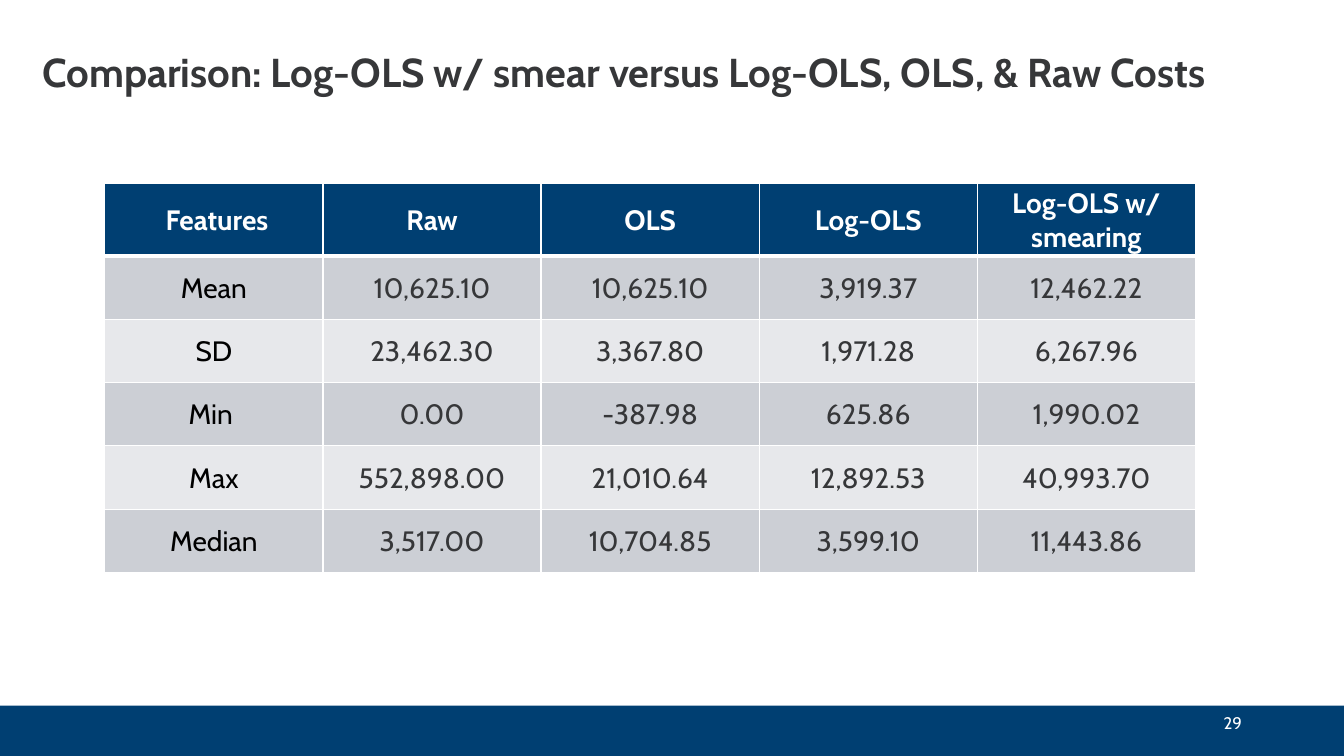
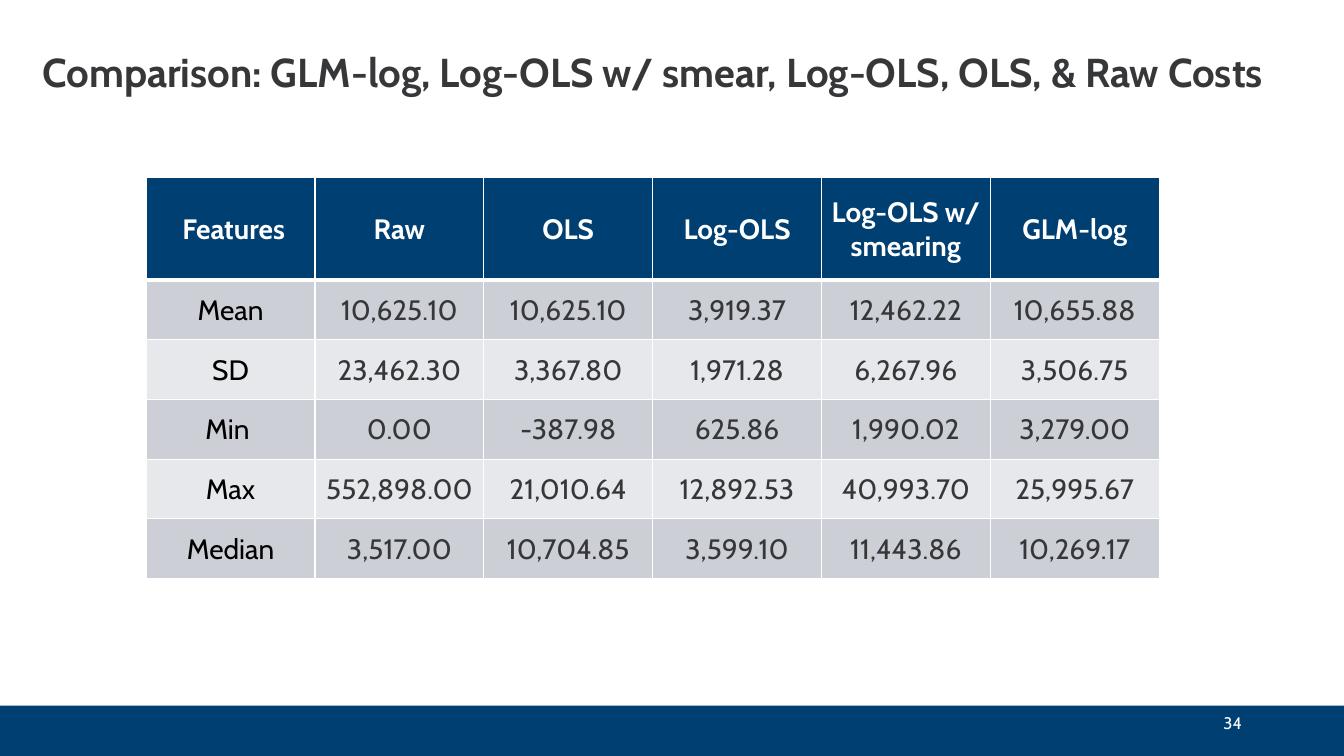
import dataclasses

import lxml.etree
import pptx
import pptx.dml.color
import pptx.enum.shapes
import pptx.enum.text
import pptx.oxml.ns
import pptx.util


@dataclasses.dataclass(frozen=True)
class Theme:
    font: str = "Cabin"
    navy: str = "003F72"
    charcoal: str = "363739"
    black: str = "000000"
    white: str = "FFFFFF"
    bands: tuple = ("CCCFD5", "E7E8EB")
    title_size: float = 28.8
    table_size: float = 20
    number_size: float = 12
    thin_border: float = 1
    header_border: float = 3


THEME = Theme()
UNIT = pptx.util.Inches(0.1)
GRID_COLUMNS, GRID_ROWS = 133.33, 75
BAND_TOP, BAND_ROWS = 70, 5
TITLE_AREA = (3.2, 3.2, 127.1, 8.3)
NUMBER_AREA = (94.2, BAND_TOP, 30, 3.5)

FEATURES = (" Features", "Mean", "SD", "Min ", "Max", "Median")
RAW = ("Raw", "10,625.10", "23,462.30", "0.00", "552,898.00", "3,517.00")
OLS = ("OLS", "10,625.10", "3,367.80", "-387.98", "21,010.64", "10,704.85")
LOG_OLS = ("Log-OLS", "3,919.37", "1,971.28", "625.86", "12,892.53", "3,599.10")
SMEARING = ("Log-OLS w/ smearing", "12,462.22", "6,267.96", "1,990.02", "40,993.70", "11,443.86")
GLM_LOG = ("GLM-log", "10,655.88", "3,506.75", "3,279.00", "25,995.67", "10,269.17")
OLS_MODELS = (FEATURES, RAW, OLS, LOG_OLS, SMEARING)


def grid(*lengths):
    return [round(length * UNIT) for length in lengths]


def color(value):
    return pptx.dml.color.RGBColor.from_string(value)


def write(text_frame, text, size, ink, alignment, bold=False):
    text_frame.text = text
    paragraph = text_frame.paragraphs[0]
    paragraph.alignment = alignment
    font = paragraph.runs[0].font
    font.name = THEME.font
    font.size = pptx.util.Pt(size)
    font.bold = bold
    font.color.rgb = color(ink)


def add_title(slide, text):
    title = slide.shapes.title
    title.left, title.top, title.width, title.height = grid(*TITLE_AREA)
    title.text_frame.auto_size = pptx.enum.text.MSO_AUTO_SIZE.NONE
    title.text_frame.vertical_anchor = pptx.enum.text.MSO_ANCHOR.MIDDLE
    write(title.text_frame, text, THEME.title_size, THEME.charcoal,
          pptx.enum.text.PP_ALIGN.LEFT, bold=True)
    title.text_frame.paragraphs[0].line_spacing = 0.9


def add_footer(slide, number):
    band = slide.shapes.add_shape(pptx.enum.shapes.MSO_SHAPE.RECTANGLE,
                                  *grid(0, BAND_TOP, GRID_COLUMNS, BAND_ROWS))
    band.shadow.inherit = False
    band.fill.solid()
    band.fill.fore_color.rgb = color(THEME.navy)
    band.line.fill.background()
    text_frame = slide.shapes.add_textbox(*grid(*NUMBER_AREA)).text_frame
    text_frame.word_wrap = True
    text_frame.vertical_anchor = pptx.enum.text.MSO_ANCHOR.MIDDLE
    write(text_frame, str(number), THEME.number_size, THEME.white,
          pptx.enum.text.PP_ALIGN.RIGHT)


def set_borders(cell, top, bottom):
    properties = cell._tc.get_or_add_tcPr()
    widths = {"L": THEME.thin_border, "R": THEME.thin_border, "T": top, "B": bottom}
    for side, width in widths.items():
        line = lxml.etree.SubElement(properties, pptx.oxml.ns.qn(f"a:ln{side}"),
                                     w=str(pptx.util.Pt(width)))
        fill = lxml.etree.SubElement(line, pptx.oxml.ns.qn("a:solidFill"))
        lxml.etree.SubElement(fill, pptx.oxml.ns.qn("a:srgbClr"), val=THEME.white)


def format_cell(cell, text, row, column):
    header = row == 0
    set_borders(cell,
                top=THEME.header_border if row == 1 else THEME.thin_border,
                bottom=THEME.header_border if header else THEME.thin_border)
    cell.fill.solid()
    cell.fill.fore_color.rgb = color(THEME.navy if header else THEME.bands[(row - 1) % 2])
    cell.margin_left = cell.margin_right = cell.margin_top = pptx.util.Inches(0.01)
    cell.margin_bottom = 0
    cell.vertical_anchor = pptx.enum.text.MSO_ANCHOR.MIDDLE
    body_ink = THEME.black if column == 0 else THEME.charcoal
    write(cell.text_frame, text, THEME.table_size, THEME.white if header else body_ink,
          pptx.enum.text.PP_ALIGN.CENTER, bold=header)


def add_comparison_table(slide, columns, area, header_height):
    width, height = area[2:]
    row_count = len(FEATURES)
    table = slide.shapes.add_table(row_count, len(columns), *grid(*area)).table
    body_height = (height - header_height) / (row_count - 1)
    for row, table_row in enumerate(table.rows):
        table_row.height, = grid(body_height if row else header_height)
    for column, values in enumerate(columns):
        table.columns[column].width, = grid(width / len(columns))
        for row, text in enumerate(values):
            format_cell(table.cell(row, column), text, row, column)


def add_comparison_slide(presentation, title, number, columns, area, header_height):
    slide = presentation.slides.add_slide(presentation.slide_layouts.get_by_name("Title Only"))
    add_title(slide, title)
    add_footer(slide, number)
    add_comparison_table(slide, columns, area, header_height)


def main():
    presentation = pptx.Presentation()
    presentation.slide_width, presentation.slide_height = grid(GRID_COLUMNS, GRID_ROWS)
    add_comparison_slide(
        presentation, "Comparison: Log-OLS w/ smear versus Log-OLS, OLS, & Raw Costs", 29,
        OLS_MODELS, area=(10.4, 18.2, 108.2, 38.6), header_height=7.2)
    add_comparison_slide(
        presentation, "Comparison: GLM-log, Log-OLS w/ smear, Log-OLS, OLS, & Raw Costs", 34,
        OLS_MODELS + (GLM_LOG,), area=(14.5, 17.6, 100.5, 39.8), header_height=10.2)
    presentation.save("out.pptx")


if __name__ == "__main__":
    main()
